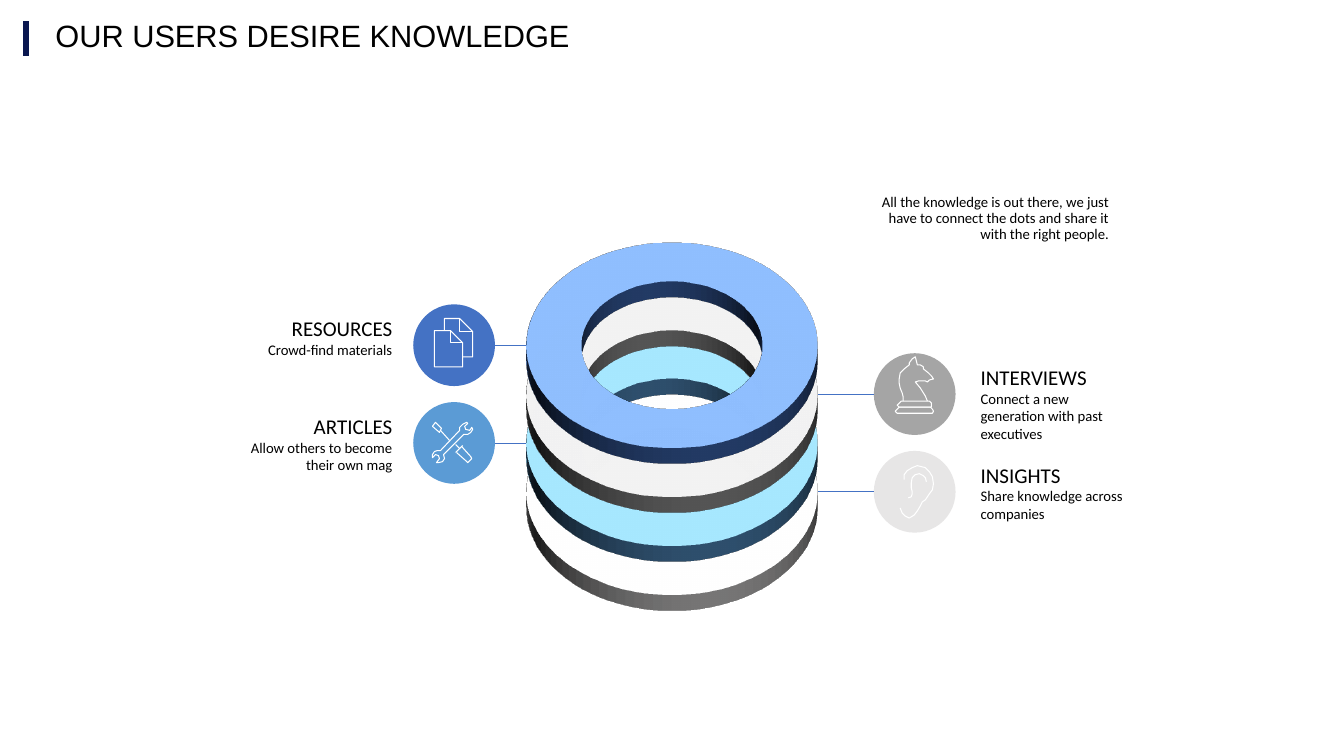
"""Build the slide on the knowledge that users desire."""
from dataclasses import dataclass

from lxml import etree
from pptx import Presentation
from pptx.dml.color import RGBColor
from pptx.enum.shapes import MSO_CONNECTOR, MSO_SHAPE
from pptx.enum.text import MSO_ANCHOR, PP_ALIGN
from pptx.oxml import parse_xml
from pptx.oxml.ns import qn
from pptx.util import Pt

LEFT, RIGHT = PP_ALIGN.LEFT, PP_ALIGN.RIGHT
MIDDLE = MSO_ANCHOR.MIDDLE
DONUT, OVAL = MSO_SHAPE.DONUT, MSO_SHAPE.OVAL
STRAIGHT = MSO_CONNECTOR.STRAIGHT
NS = 'xmlns:a="http://schemas.openxmlformats.org/drawingml/2006/main"'
SCENE = (
    f'<a:scene3d {NS}><a:camera prst="orthographicFront">'
    '<a:rot lat="18900000" lon="0" rev="0"/></a:camera>'
    '<a:lightRig rig="threePt" dir="t"/></a:scene3d>'
)
DEPTH = f'<a:sp3d {NS} extrusionH="{Pt(16)}"/>'


@dataclass(frozen=True)
class Theme:
    blue: str = "4472C4"
    grey: str = "A5A5A5"
    sky: str = "5B9BD5"
    pale: str = "E7E6E6"
    navy: str = "0A1750"
    white: str = "FFFFFF"
    black: str = "000000"
    title: float = 22
    head: float = 15
    body: float = 10.5
    face: str = "Arial"
    text: str = "Calibri"


class Deck:
    def __init__(self, theme):
        self.theme = theme
        self.file = Presentation()
        self.file.slide_width, self.file.slide_height = Pt(960), Pt(540)
        self.slide = self.file.slides.add_slide(self.file.slide_layouts[5])
        self.shapes = self.slide.shapes

    def style(self, para, size, face, align=LEFT, space=None):
        para.alignment = align
        para.line_spacing = space
        para.font.size = Pt(size)
        para.font.name = face
        para.font.color.rgb = RGBColor.from_string(self.theme.black)

    def title(self, text, x, y, w, h):
        box = self.shapes.title
        box.left, box.top, box.width, box.height = Pt(x), Pt(y), Pt(w), Pt(h)
        box.text_frame.text = text
        box.text_frame.vertical_anchor = MIDDLE
        self.style(box.text_frame.paragraphs[0], self.theme.title, self.theme.face, space=0.9)

    def solid(self, kind, x, y, size, color):
        shape = self.shapes.add_shape(kind, Pt(x), Pt(y), Pt(size), Pt(size))
        shape.fill.solid()
        shape.fill.fore_color.rgb = RGBColor.from_string(color)
        shape.line.fill.background()
        shape.shadow.inherit = False
        return shape

    def ring(self, x, y, size, color):
        shape = self.solid(DONUT, x, y, size, color)
        shape.adjustments[0] = 0.19
        for part in (SCENE, DEPTH):
            shape._element.spPr.append(parse_xml(part))

    def line(self, x1, y1, x2, y2, color, width):
        line = self.shapes.add_connector(STRAIGHT, Pt(x1), Pt(y1), Pt(x2), Pt(y2))
        line.line.color.rgb = RGBColor.from_string(color)
        line.line.width = Pt(width)
        etree.SubElement(line._element.spPr, qn("a:effectLst"))

    def text(self, items, x, y, w, h, align, space=None):
        frame = self.shapes.add_textbox(Pt(x), Pt(y), Pt(w), Pt(h)).text_frame
        frame.word_wrap = True
        frame.text = "\n".join(words for words, _ in items)
        for para, (_, size) in zip(frame.paragraphs, items):
            self.style(para, size, self.theme.text, align, space)

    def icon(self, x, y, paths):
        (start, *rest), closed = paths[0]
        pen = self.shapes.build_freeform(*start, scale=Pt(0.72))
        pen.add_line_segments(rest, close=closed)
        for (start, *rest), closed in paths[1:]:
            pen.move_to(*start)
            pen.add_line_segments(rest, close=closed)
        shape = pen.convert_to_shape(Pt(x), Pt(y))
        shape.fill.background()
        shape.line.color.rgb = RGBColor.from_string(self.theme.white)
        shape.line.width = Pt(0.75)
        shape.shadow.inherit = False


def slab(left, right, top):
    """Return the closed outline of a bar with rounded ends."""
    return [(left + 3, top), (right - 3, top), (right - 1, top + 1), (right, top + 3),
            (right - 1, top + 5), (right - 3, top + 6), (left + 3, top + 6),
            (left + 1, top + 5), (left, top + 3), (left + 1, top + 1)], True


PAGES = [
    ([(28.5, 38.5), (37.5, 38.5), (37.5, 13), (25, 0.5), (9.5, 0.5), (9.5, 11.5)], False),
    ([(25, 0.5), (25, 13), (37.5, 13)], False),
    ([(0.5, 11.5), (16.5, 11.5), (28.5, 23.7), (28.5, 48.5), (0.5, 48.5)], True),
    ([(16.5, 11.5), (16.5, 23.7), (28.5, 23.7)], False),
]
KNIGHT = [
    ([(7.5, 44), (8, 40), (7, 36), (5, 31), (3.5, 26), (3.5, 22), (5, 16), (9, 11.5),
      (14, 8.5), (14.5, 5.5), (17, 2), (20.5, 0.5), (21, 4), (21.5, 7.5), (25, 8.3),
      (27.5, 10), (28.5, 12), (33, 15.5), (36.5, 19), (37.5, 21.5), (34.5, 23), (32, 25),
      (30, 24), (27, 23.5), (23, 24), (20, 24.7), (25, 31), (30, 39), (31.5, 44)], False),
    slab(2.5, 36.5, 44.5),
    slab(0.5, 38, 50.5),
]
TOOLS = [
    ([(28.5, 8), (28.5, 5), (31, 2), (35, 0.5), (36.5, 0.7), (33, 3.5), (34.3, 7),
      (37.7, 8), (40.5, 5), (40.8, 7), (39, 10.5), (36, 12), (32.5, 12), (12.5, 32.3),
      (13, 36), (11, 38.8), (7, 40), (5, 39.7), (8.5, 36), (7.2, 32.7), (4, 32),
      (0.8, 35), (1, 32), (3, 29), (6, 28), (9, 28.5)], True),
    ([(1, 3.5), (4.5, 0.5), (10.5, 6.5), (7.5, 9.5)], True),
    ([(9, 8), (18.5, 17.5)], False),
    ([(23.5, 22.5), (27.5, 26.5)], False),
    ([(31, 23), (23.5, 30.5)], False),
    ([(30, 24.5), (39, 33.5), (40, 35.5), (38.5, 38.5), (36, 39.5), (33.5, 38.5),
      (25, 30)], False),
]
EAR = [
    ([(0.5, 42), (2, 47), (5, 50.5), (9, 51.5), (14, 49), (17, 45), (19.5, 40),
      (22, 36.5), (25, 33.5), (29, 28.5), (32, 23.5), (33, 18), (32, 11), (29, 6),
      (25, 2.5), (21, 0.8), (17, 0.5), (12, 1.7), (7, 5), (4.5, 9), (3.5, 14)], False),
    ([(8, 32.5), (11, 31), (12.5, 28), (12, 25.5), (10.7, 22), (10.7, 17), (12.5, 11.5),
      (15, 9), (19, 8.5), (23, 9.5), (25.3, 12), (25.6, 15.5)], False),
]


def main():
    theme = Theme()
    deck = Deck(theme)
    step, size, disc = 34.9, 208, 58.4
    ring_x, ring_y, disc_y, text_y = 375.8, 142.6, 217.4, 221.8
    topics = [
        ("RESOURCES", "Crowd-find materials", theme.blue, PAGES, 310.3, 227.5, 51),
        ("INTERVIEWS", "Connect a new generation with past executives",
         theme.grey, KNIGHT, 639.4, 254.9, 82),
        ("ARTICLES", "Allow others to become their own mag",
         theme.sky, TOOLS, 308.2, 301.7, 63),
        ("INSIGHTS", "Share knowledge across companies", theme.pale, EAR, 643, 332.6, 51),
    ]
    deck.line(18.7, 15.1, 18.7, 40.3, theme.navy, 4.5)
    deck.title("OUR USERS DESIRE KNOWLEDGE", 32.4, 0, 617.8, 53.3)
    for row in reversed(range(len(topics))):
        deck.ring(ring_x, ring_y + row * step, size, topics[row][2])
    for row, (head, body, color, paths, x, y, high) in enumerate(topics):
        shift = row * step
        mid = disc_y + shift + disc / 2
        if row % 2:
            disc_x, text_x, wide, align = 624.2, 693.4, 109.4 if row == 1 else 122.4, LEFT
            ends = disc_x, ring_x + size + 0.8
        else:
            disc_x, text_x, wide, align = 295.2, 165.6, 121.7, RIGHT
            ends = disc_x + disc, ring_x
        deck.solid(OVAL, disc_x, disc_y + shift, disc, color)
        deck.line(ends[0], mid, ends[1], mid, theme.blue, 0.5)
        deck.text([(head, theme.head), (body, theme.body)],
                  text_x, text_y + shift, wide, high, align)
        deck.icon(x, y, paths)
    note = ("All the knowledge is out there, we just have to connect the dots "
            "and share it with the right people.")
    deck.text([(note, theme.body)], 609.8, 136.1, 189.4, 52.6, RIGHT, 0.89)
    deck.file.save("out.pptx")


if __name__ == "__main__":
    main()
